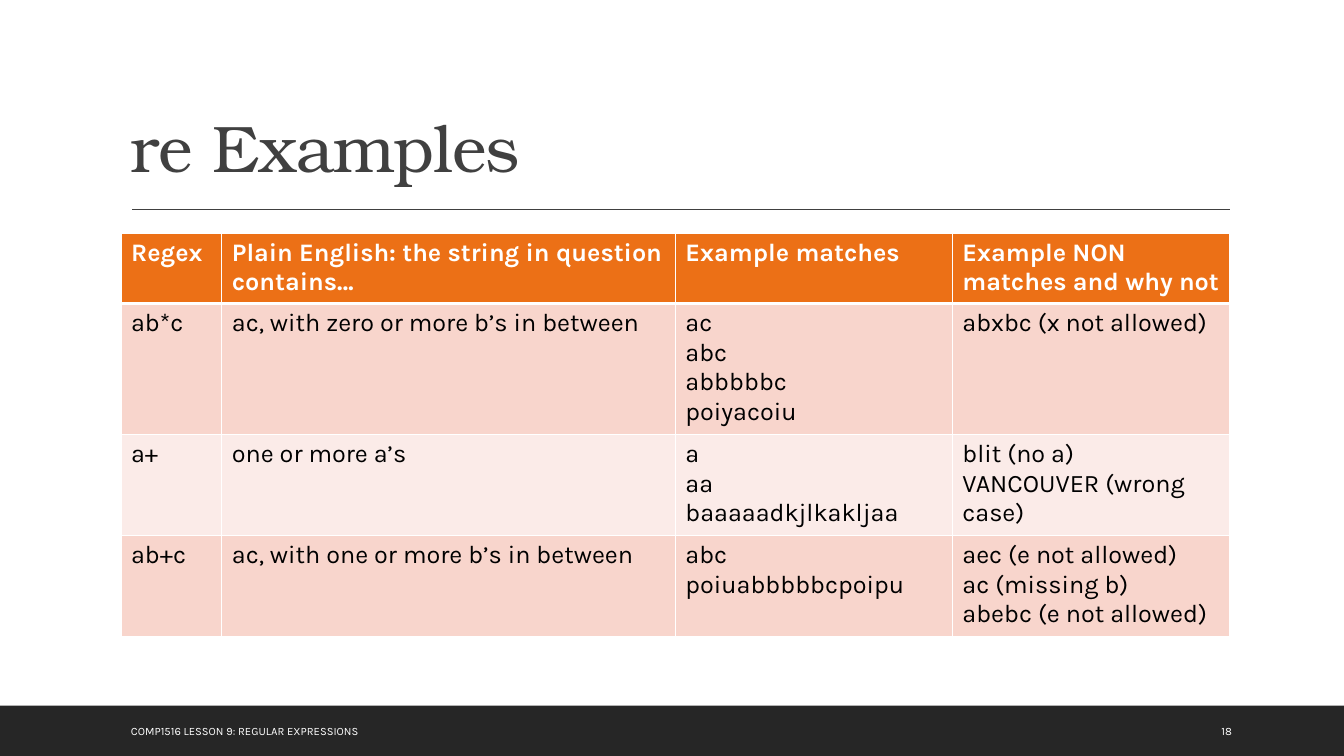
from pptx import Presentation
from pptx.dml.color import RGBColor
from pptx.enum import shapes, text
from pptx.oxml import parse_xml
from pptx.oxml.ns import nsdecls
from pptx.util import Cm, Pt

# Content
TITLE = "re Examples"
FOOTER = "COMP1516 LESSON 9: REGULAR EXPRESSIONS"
PAGE = "18"
HEADINGS = ["Regex", "Plain English: the string in question contains…",
            "Example matches", "Example NON matches and why not"]
EXAMPLES = [
    ("ab*c", "ac, with zero or more b’s in between",
     "ac\nabc\nabbbbbc\npoiyacoiu", "abxbc (x not allowed)"),
    ("a+", "one or more a’s",
     "a\naa\nbaaaaadkjlkakljaa", "blit (no a)\nVANCOUVER (wrong case)"),
    ("ab+c", "ac, with one or more b’s in between",
     "abc\npoiuabbbbbcpoipu",
     "aec (e not allowed)\nac (missing b)\nabebc (e not allowed)"),
]
COLUMN_WIDTHS = [2.54, 11.43, 6.98, 6.98]
ROW_LINES = [2, 4, 3, 3]  # text lines in the tallest cell of each row
LINE_HEIGHT, CELL_PADDING = 0.74, 0.25
HEADING_FILL, BANDS = "EC7016", ["F8D5CC", "FBEBE8"]
LEFT = 3.05


def color(code):
    return RGBColor.from_string(code)


def write(frame, content, size=18, font="Karla", ink="000000", bold=False,
          anchor=text.MSO_ANCHOR.TOP, line_spacing=None, tracking=None):
    frame.word_wrap = True
    frame.vertical_anchor = anchor
    for i, line in enumerate(content.split("\n")):
        paragraph = frame.add_paragraph() if i else frame.paragraphs[0]
        paragraph.line_spacing = line_spacing
        run = paragraph.add_run()
        run.text = line
        run.font.size, run.font.name, run.font.bold = Pt(size), font, bold
        run.font.color.rgb = color(ink)
        if tracking is not None:
            run.font._element.set("spc", str(tracking))


def add_text(left, top, width, height, content, **style):
    box = slide.shapes.add_textbox(Cm(left), Cm(top), Cm(width), Cm(height))
    write(box.text_frame, content, **style)


def outline(cell, bottom=1):
    properties = cell._tc.get_or_add_tcPr()
    edges = [("lnL", 1), ("lnR", 1), ("lnT", 1), ("lnB", bottom)]
    for i, (edge, points) in enumerate(edges):
        properties.insert(i, parse_xml(
            f'<a:{edge} {nsdecls("a")} w="{Pt(points)}"><a:solidFill>'
            f'<a:srgbClr val="FFFFFF"/></a:solidFill></a:{edge}>'))


deck = Presentation()
deck.slide_width, deck.slide_height = Cm(33.87), Cm(19.05)
slide = deck.slides.add_slide(deck.slide_layouts[6])

# Footer band
band = slide.shapes.add_shape(shapes.MSO_SHAPE.RECTANGLE,
                              0, Cm(17.78), deck.slide_width, Cm(1.27))
band.shadow.inherit = False
band.fill.solid()
band.fill.fore_color.rgb = color("262626")
band.line.fill.background()

# Title and rule
rule = slide.shapes.add_connector(shapes.MSO_CONNECTOR.STRAIGHT,
                                  Cm(3.33), Cm(5.28), Cm(31), Cm(5.28))
rule.line.color.rgb = color("404040")
rule.line.width = Pt(1)
rule._element.spPr.append(parse_xml(f'<a:effectLst {nsdecls("a")}/>'))
add_text(LEFT, 0.79, 27.94, 4.04, TITLE, size=47, font="TeX Gyre Bonum",
         ink="404040", anchor=text.MSO_ANCHOR.BOTTOM, line_spacing=0.9,
         tracking=-50)

# Table of examples
row_heights = [n * LINE_HEIGHT + CELL_PADDING for n in ROW_LINES]
table = slide.shapes.add_table(
    len(ROW_LINES), len(COLUMN_WIDTHS), Cm(LEFT), Cm(5.87),
    Cm(sum(COLUMN_WIDTHS)), Cm(sum(row_heights))).table
for column, width in zip(table.columns, COLUMN_WIDTHS):
    column.width = Cm(width)
for r, entries in enumerate([HEADINGS, *EXAMPLES]):
    table.rows[r].height = Cm(row_heights[r])
    heading = r == 0
    for c, entry in enumerate(entries):
        cell = table.cell(r, c)
        cell.fill.solid()
        cell.fill.fore_color.rgb = color(
            HEADING_FILL if heading else BANDS[(r - 1) % 2])
        outline(cell, bottom=3 if heading else 1)
        write(cell.text_frame, entry, bold=heading,
              ink="FFFFFF" if heading else "000000")

# Footer text
for left, width, content in [(LEFT, 18.95, FOOTER), (30.53, 2.16, PAGE)]:
    add_text(left, 17.91, width, 1.02, content, size=8, ink="FFFFFF",
             anchor=text.MSO_ANCHOR.MIDDLE)

deck.save("out.pptx")
